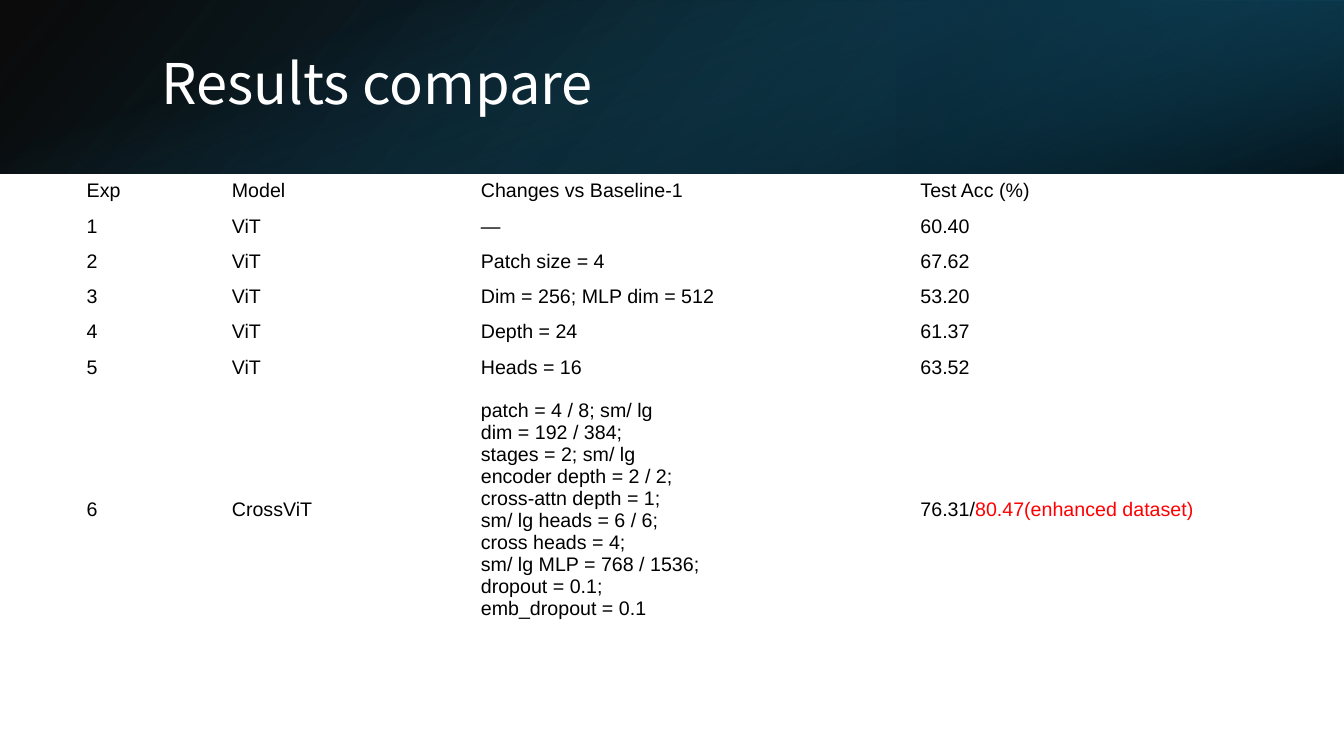
from dataclasses import dataclass

from lxml.etree import SubElement
from pptx import Presentation
from pptx.dml.color import RGBColor
from pptx.enum.shapes import MSO_SHAPE
from pptx.enum.text import MSO_ANCHOR
from pptx.oxml.ns import qn
from pptx.util import Inches, Pt


@dataclass(frozen=True)
class Theme:
    title_font: str = "Noto Sans CJK SC"
    body_font: str = "Arial"
    title_size: int = 40
    body_size: int = 14
    white: str = "FFFFFF"
    black: str = "000000"
    red: str = "FF0000"
    teal: str = "156082"
    deep_teal: str = "104862"
    dark_teal: str = "0B3041"
    plain_table: str = "{2D5ABB26-0587-4C30-8999-92F81FD0307C}"


class SlideBuilder:
    def __init__(self, prs, theme):
        self.theme = theme
        self.s = prs.slides.add_slide(prs.slide_layouts[6])

    def add_text(self, p, text, font, size, color):
        r = p.add_run()
        r.text = text
        for name, value in {"name": font, "size": Pt(size)}.items():
            setattr(r.font, name, value)
        r.font.color.rgb = RGBColor.from_string(color)

    def gradient_band(self, box, stops, angle, rotation=0, flip=False):
        """Stops are (position %, colour, opacity %); angle runs clockwise."""
        sp = self.s.shapes.add_shape(MSO_SHAPE.RECTANGLE, *map(Inches, box))
        sp.shadow.inherit = False
        sp.line.fill.background()
        sp.rotation = rotation
        if flip:
            sp._element.spPr.get_or_add_xfrm().set("flipH", "1")
        sp.fill.gradient()
        sp.fill.gradient_angle = 360 - angle
        for stop, (pos, color, _) in zip(sp.fill.gradient_stops, stops):
            stop.position = pos / 100
            stop.color.rgb = RGBColor.from_string(color)
        # Opacity of each stop
        colors = list(sp._element.spPr.iter(qn("a:srgbClr")))
        for clr, (_, _, opacity) in zip(colors, stops):
            SubElement(clr, qn("a:alpha")).set("val", str(opacity * 1000))

    def title(self, box, text):
        tf = self.s.shapes.add_textbox(*map(Inches, box)).text_frame
        formats = {"word_wrap": True, "vertical_anchor": MSO_ANCHOR.MIDDLE}
        for name, value in formats.items():
            setattr(tf, name, value)
        p = tf.paragraphs[0]
        p.line_spacing = 0.9
        t = self.theme
        self.add_text(p, text, t.title_font, t.title_size, t.white)

    def table(self, left, top, widths, heights, rows):
        box = map(Inches, (left, top, sum(widths), sum(heights)))
        tbl = self.s.shapes.add_table(len(rows), len(widths), *box).table
        for name in ("first_row", "horz_banding"):
            setattr(tbl, name, False)
        tbl._tbl.tblPr.find(qn("a:tableStyleId")).text = self.theme.plain_table
        for col, width in zip(tbl.columns, widths):
            col.width = Inches(width)
        for row, height, values in zip(tbl.rows, heights, rows):
            row.height = Inches(height)
            for cell, value in zip(row.cells, values):
                self.fill_cell(cell, value)

    def fill_cell(self, cell, value):
        """A value is text, or a list of lines made of (text, colour) runs."""
        t = self.theme
        formats = {
            "vertical_anchor": MSO_ANCHOR.MIDDLE,
            "margin_left": Inches(0.08), "margin_right": Inches(0.08),
            "margin_top": Inches(0.04), "margin_bottom": Inches(0.04),
        }
        for name, setting in formats.items():
            setattr(cell, name, setting)
        cell.fill.background()
        lines = [[(value, t.black)]] if isinstance(value, str) else value
        tf = cell.text_frame
        for i, runs in enumerate(lines):
            p = tf.add_paragraph() if i else tf.paragraphs[0]
            for text, color in runs:
                self.add_text(p, text, t.body_font, t.body_size, color)


CROSSVIT_CHANGES = [
    "patch = 4 / 8; sm/ lg", "dim = 192 / 384;", "stages = 2; sm/ lg",
    "encoder depth = 2 / 2;", "cross-attn depth = 1;",
    "sm/ lg heads = 6 / 6;", "cross heads = 4;",
    "sm/ lg MLP = 768 / 1536;", "dropout = 0.1;", "emb_dropout = 0.1",
]
VIT_RUNS = [
    ("—", "60.40"),
    ("Patch size = 4", "67.62"),
    ("Dim = 256; MLP dim = 512", "53.20"),
    ("Depth = 24", "61.37"),
    ("Heads = 16", "63.52"),
]


def main():
    prs = Presentation()
    prs.slide_width, prs.slide_height = Inches(13.33), Inches(7.5)
    t = Theme()
    slide = SlideBuilder(prs, t)

    # Header band: three layered gradients
    slide.gradient_band((0, 0, 13.33, 1.72),
                        [(0, t.black, 96), (100, t.deep_teal, 100)],
                        140, flip=True)
    slide.gradient_band((8.89, 0, 4.44, 1.72),
                        [(19, t.dark_teal, 68), (100, t.teal, 79)],
                        320, rotation=180, flip=True)
    slide.gradient_band((5.8, -5.8, 1.72, 13.33),
                        [(23, t.teal, 0), (99, t.black, 74)],
                        340, rotation=90)
    slide.title((1.5, 0.38, 10.98, 0.96), "Results compare")

    # Results table
    rows = [("Exp", "Model", "Changes vs Baseline-1", "Test Acc (%)")]
    rows += [(str(i), "ViT", change, acc)
             for i, (change, acc) in enumerate(VIT_RUNS, 1)]
    rows.append((
        "6", "CrossViT",
        [[(line, t.black)] for line in CROSSVIT_CHANGES],
        [[("76.31/", t.black), ("80.47(enhanced dataset)", t.red)]],
    ))
    slide.table(0.78, 1.72, [1.44, 2.47, 4.36, 3.08],
                [0.35] * 6 + [2.48], rows)

    prs.save("out.pptx")


if __name__ == "__main__":
    main()
